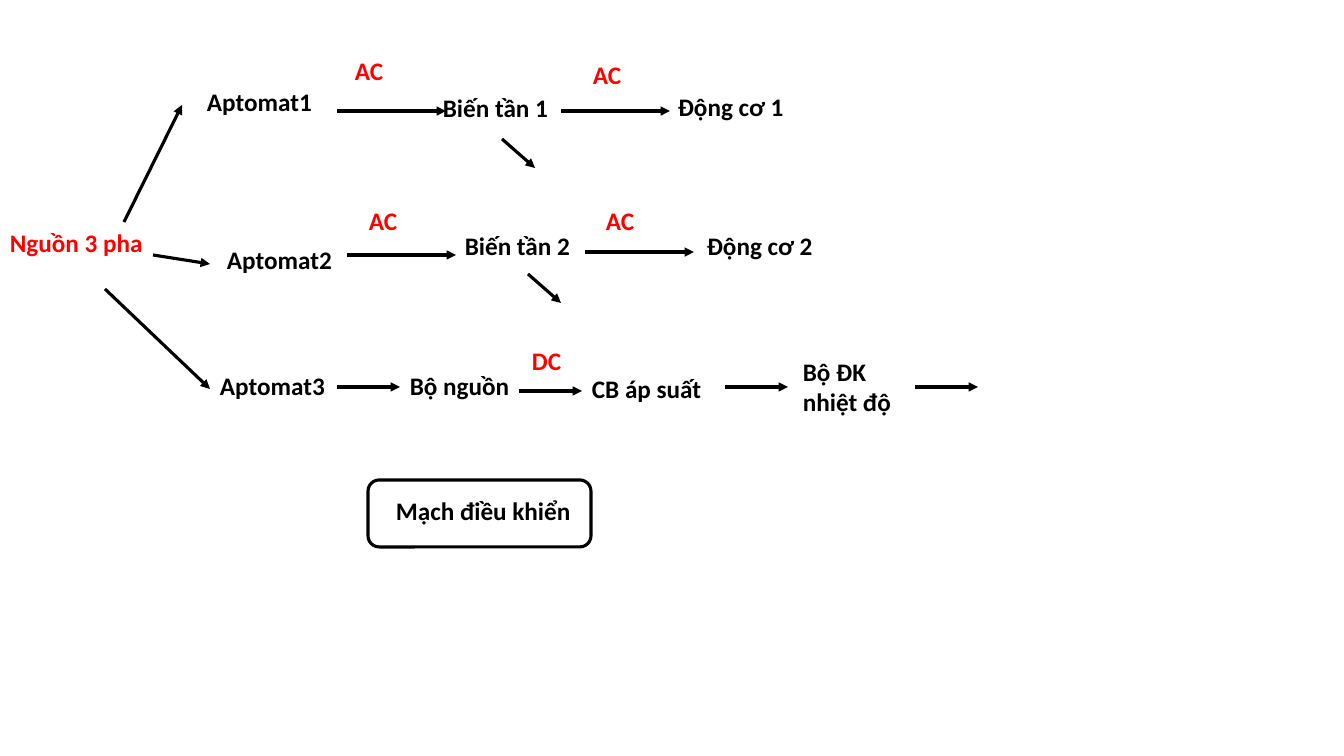
from pptx import Presentation
from pptx.dml.color import RGBColor
from pptx.enum.shapes import MSO_CONNECTOR, MSO_SHAPE
from pptx.enum.text import MSO_AUTO_SIZE
from pptx.oxml.ns import qn
from pptx.util import Inches, Pt
from lxml.etree import SubElement

COLORS = {"ink": "000000", "power": "FF0000"}


class Diagram:
    font = "Calibri"
    size = Pt(18)
    stroke = Pt(2.25)
    scale = Inches(1) / 100.8

    def __init__(self, slide):
        self.slide = slide

    def emu(self, *pixels):
        return [round(pixel * self.scale) for pixel in pixels]

    def color(self, name):
        return RGBColor.from_string(COLORS[name])

    def outline(self, line):
        line.color.rgb = self.color("ink")
        line.width = self.stroke

    def label(self, text, left, top, width=240, height=72, color="ink"):
        box = self.slide.shapes.add_textbox(*self.emu(left, top, width, height))
        frame = box.text_frame
        frame.word_wrap = True
        frame.auto_size = MSO_AUTO_SIZE.SHAPE_TO_FIT_TEXT
        run = frame.paragraphs[0].add_run()
        run.text = text
        run.font.name = self.font
        run.font.size = self.size
        run.font.bold = True
        run.font.color.rgb = self.color(color)

    def arrow(self, x1, y1, x2, y2):
        connector = self.slide.shapes.add_connector(
            MSO_CONNECTOR.STRAIGHT, *self.emu(x1, y1, x2, y2))
        self.outline(connector.line)
        properties = connector._element.spPr
        SubElement(properties.find(qn("a:ln")), qn("a:tailEnd"), type="triangle")
        SubElement(properties, qn("a:effectLst"))

    def frame(self, left, top, width, height):
        shape = self.slide.shapes.add_shape(
            MSO_SHAPE.ROUNDED_RECTANGLE, *self.emu(left, top, width, height))
        shape.shadow.inherit = False
        shape.fill.background()
        self.outline(shape.line)


deck = Presentation()
deck.slide_width, deck.slide_height = Inches(13.333), Inches(7.5)
diagram = Diagram(deck.slides.add_slide(deck.slide_layouts[6]))

diagram.label("Nguồn 3 pha", 0, 222, color="power")
for feed in [(124, 222, 182, 105), (153, 255, 210, 264), (105, 289, 210, 389)]:
    diagram.arrow(*feed)

motor_branches = [
    [("Aptomat1", 197, 81), ("Biến tần 1", 433, 87), ("Động cơ 1", 668, 86)],
    [("Aptomat2", 217, 239), ("Biến tần 2", 455, 225), ("Động cơ 2", 697, 225)],
]
for branch in motor_branches:
    for stage in branch:
        diagram.label(*stage)

control_branch = [
    ("Aptomat3", 210, 365, 127), ("Bộ nguồn", 400, 365, 240),
    ("CB áp suất", 582, 368, 216), ("Bộ ĐK nhiệt độ", 793, 351, 127),
]
for stage in control_branch:
    diagram.label(*stage, height=102)

currents = [("AC", 345, 50), ("AC", 583, 54), ("AC", 359, 200),
            ("AC", 596, 200), ("DC", 522, 340)]
for current in currents:
    diagram.label(*current, width=127, color="power")

links_by_length = {
    109: [(337, 111), (561, 111), (347, 255), (585, 252)],
    63: [(337, 387), (519, 391), (725, 387), (915, 387)],
}
for length, starts in links_by_length.items():
    for x, y in starts:
        diagram.arrow(x, y, x + length, y)

for x, y in [(502, 139), (528, 274)]:
    diagram.arrow(x, y, x + 33, y + 29)

diagram.label("Mạch điều khiển", 386, 490, 254)
diagram.frame(368, 480, 223, 67)

deck.save("out.pptx")
